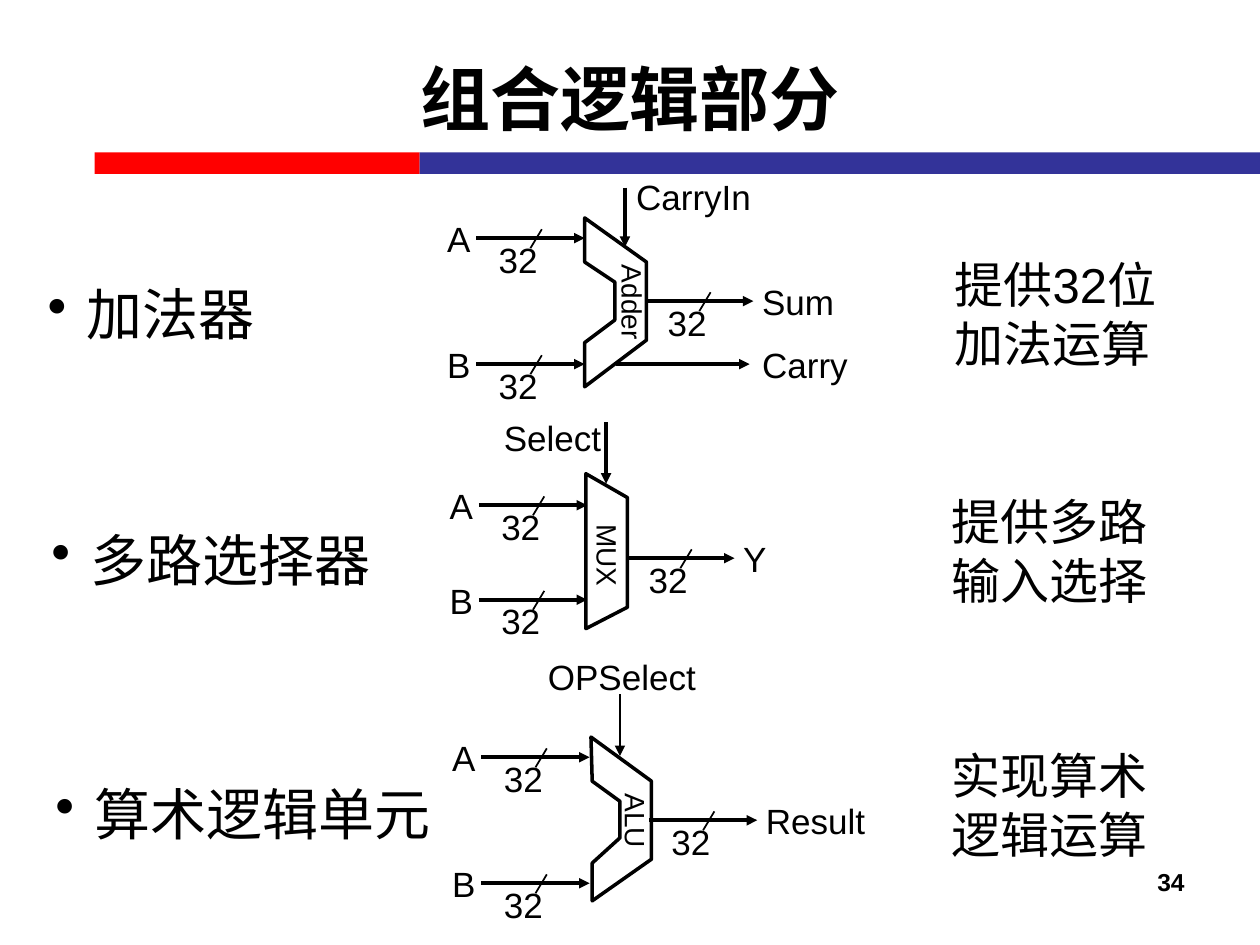
from dataclasses import dataclass

import pptx
import pptx.dml.color
import pptx.enum.shapes
import pptx.enum.text
import pptx.oxml.xmlchemy
import pptx.util

Inches = pptx.util.Inches
Pt = pptx.util.Pt
Align = pptx.enum.text.PP_ALIGN
OxmlElement = pptx.oxml.xmlchemy.OxmlElement
Point = tuple[float, float]
Box = tuple[float, float, float, float]


@dataclass(frozen=True)
class Theme:
    font: str = "Arial"
    ink: str = "000000"
    red: str = "FF0000"
    blue: str = "333399"
    title: int = 40
    item: int = 32
    description: int = 28
    signal: int = 20
    unit: int = 16
    page: int = 14
    thick: float = 2
    thin: float = 1


THEME = Theme()
BUS_LENGTH = 0.86
LABEL_HEIGHT = 0.43


@dataclass(frozen=True)
class Label:
    text: str
    box: Box


@dataclass(frozen=True)
class Bus:
    """A 32-bit wire; name_offset runs from its left end to its name box."""
    name: str
    start: Point
    name_offset: float
    name_width: float


@dataclass(frozen=True)
class Arrow:
    start: Point
    end: Point
    weight: float
    label: Label


@dataclass(frozen=True)
class Unit:
    item: Label
    description: Label
    inset: Point
    symbol: Label
    outline: list[Point]
    buses: list[Bus]
    arrows: list[Arrow]


def input_bus(name: str, x: float, y: float) -> Bus:
    return Bus(name, (x, y), -0.33, 0.39)


def output_bus(name: str, x: float, y: float, name_width: float) -> Bus:
    return Bus(name, (x, y), 0.83, name_width)


UNITS = [
    Unit(
        Label("加法器", (0.28, 2.17, 2.11, 0.64)),
        Label("提供32位加法运算", (7.48, 1.97, 2.13, 1.04)), (0.1, 0.05),
        Label("Adder", (4.62, 2.22, 0.8, 0.37)),
        [(4.64, 1.73), (5.13, 2.08), (5.13, 2.7), (4.64, 3.07),
         (4.64, 2.72), (4.88, 2.54), (4.88, 2.24), (4.64, 2.08)],
        [input_bus("A", 3.78, 1.89), input_bus("B", 3.78, 2.89),
         output_bus("Sum", 5.12, 2.39, 0.78)],
        [Arrow((4.96, 1.49), (4.96, 1.96), THEME.thick,
               Label("CarryIn", (4.95, 1.34, 1.12, LABEL_HEIGHT))),
         Arrow((4.89, 2.89), (5.95, 2.89), THEME.thick,
               Label("Carry", (5.95, 2.68, 0.89, LABEL_HEIGHT)))],
    ),
    Unit(
        Label("多路选择器", (0.31, 4.12, 2.9, 0.64)),
        Label("提供多路输入选择", (7.48, 3.87, 2.02, 1)), (0.07, 0.03),
        Label("MUX", (4.47, 4.23, 0.7, 0.37)),
        [(4.65, 3.76), (4.98, 3.95), (4.98, 4.82), (4.65, 4.99)],
        [input_bus("A", 3.8, 4.01), input_bus("B", 3.8, 4.76),
         output_bus("Y", 4.97, 4.43, 0.39)],
        [Arrow((4.81, 3.35), (4.81, 3.84), THEME.thick,
               Label("Select", (3.9, 3.26, 0.99, LABEL_HEIGHT)))],
    ),
    Unit(
        Label("算术逻辑单元", (0.34, 6.14, 3.29, 0.64)),
        Label("实现算术逻辑运算", (7.48, 5.89, 2.02, 1)), (0.07, 0.03),
        Label("ALU", (4.73, 6.33, 0.63, 0.37)),
        [(4.69, 5.85), (5.17, 6.2), (5.17, 6.82), (4.7, 7.15),
         (4.7, 6.85), (4.92, 6.65), (4.92, 6.36), (4.7, 6.2)],
        [input_bus("A", 3.82, 6.01), input_bus("B", 3.82, 7.01),
         output_bus("Result", 5.15, 6.51, 1)],
        [Arrow((4.92, 5.51), (4.92, 6), THEME.thin,
               Label("OPSelect", (4.25, 5.15, 1.43, LABEL_HEIGHT)))],
    ),
]


def color(value: str) -> pptx.dml.color.RGBColor:
    return pptx.dml.color.RGBColor.from_string(value)


def format_paragraph(paragraph, size: int, bold: bool = False) -> None:
    for run in paragraph.runs:
        run.font.name = THEME.font
        run.font.size = Pt(size)
        run.font.bold = bold
        run.font.color.rgb = color(THEME.ink)


def add_text(slide, label: Label, size: int, wrap: bool = False,
             inset: Point = (0.1, 0.05), bold: bool = False):
    shape = slide.shapes.add_textbox(*map(Inches, label.box))
    frame = shape.text_frame
    frame.text = label.text
    frame.word_wrap = wrap
    frame.margin_left = frame.margin_right = Inches(inset[0])
    frame.margin_top = frame.margin_bottom = Inches(inset[1])
    format_paragraph(frame.paragraphs[0], size, bold)
    return shape


def add_line(slide, start: Point, end: Point, weight: float, arrow: bool = False) -> None:
    line = slide.shapes.add_connector(
        pptx.enum.shapes.MSO_CONNECTOR.STRAIGHT, *map(Inches, (*start, *end)))
    line.line.color.rgb = color(THEME.ink)
    line.line.width = Pt(weight)
    properties = line._element.spPr
    if arrow:
        tail = OxmlElement("a:tailEnd")
        tail.set("type", "triangle")
        properties.get_or_add_ln().append(tail)
    properties.append(OxmlElement("a:effectLst"))


def add_bus(slide, bus: Bus) -> None:
    x, y = bus.start
    add_line(slide, bus.start, (x + BUS_LENGTH, y), THEME.thick, arrow=True)
    add_line(slide, (x + 0.52, y - 0.07), (x + 0.43, y + 0.08), THEME.thin)
    add_text(slide, Label("32", (x + 0.08, y - 0.05, 0.51, LABEL_HEIGHT)), THEME.signal)
    name_box = (x + bus.name_offset, y - 0.21, bus.name_width, LABEL_HEIGHT)
    add_text(slide, Label(bus.name, name_box), THEME.signal)


def add_outline(slide, points: list[Point]) -> None:
    corners = [(Inches(x), Inches(y)) for x, y in points]
    builder = slide.shapes.build_freeform(*corners[0])
    builder.add_line_segments(corners[1:], close=True)
    shape = builder.convert_to_shape()
    shape.shadow.inherit = False
    shape.fill.background()
    shape.line.color.rgb = color(THEME.ink)
    shape.line.width = Pt(THEME.thick)


def add_item(slide, label: Label) -> None:
    paragraph = add_text(slide, label, THEME.item, wrap=True).text_frame.paragraphs[0]
    properties = paragraph._p.get_or_add_pPr()
    properties.set("marL", str(Inches(0.31)))
    properties.set("indent", str(-Inches(0.31)))
    bullet = OxmlElement("a:buChar")
    bullet.set("char", "•")
    properties.append(bullet)


def add_unit(slide, unit: Unit) -> None:
    add_item(slide, unit.item)
    add_outline(slide, unit.outline)
    for bus in unit.buses:
        add_bus(slide, bus)
    for arrow in unit.arrows:
        add_line(slide, arrow.start, arrow.end, arrow.weight, arrow=True)
        add_text(slide, arrow.label, THEME.signal)
    add_text(slide, unit.symbol, THEME.unit).rotation = 90
    add_text(slide, unit.description, THEME.description, wrap=True, inset=unit.inset)


def add_bar(slide, box: Box, fill: str) -> None:
    bar = slide.shapes.add_shape(
        pptx.enum.shapes.MSO_SHAPE.RECTANGLE, *map(Inches, box))
    bar.shadow.inherit = False
    bar.fill.solid()
    bar.fill.fore_color.rgb = color(fill)
    bar.line.fill.background()


def set_title(slide, text: str) -> None:
    title = slide.shapes.title
    title.left, title.top, title.width, title.height = map(Inches, (0.5, 0.15, 9, 1.25))
    title.text_frame.text = text
    title.text_frame.vertical_anchor = pptx.enum.text.MSO_ANCHOR.MIDDLE
    paragraph = title.text_frame.paragraphs[0]
    paragraph.alignment = Align.CENTER
    format_paragraph(paragraph, THEME.title, bold=True)


def main() -> None:
    presentation = pptx.Presentation()
    presentation.slide_width, presentation.slide_height = Inches(10), Inches(7.5)
    slide = presentation.slides.add_slide(presentation.slide_layouts[5])
    add_bar(slide, (0.75, 1.21, 2.58, 0.17), THEME.red)
    add_bar(slide, (3.33, 1.21, 6.67, 0.17), THEME.blue)
    set_title(slide, "组合逻辑部分")
    for unit in UNITS:
        add_unit(slide, unit)
    page = add_text(slide, Label("34", (7.17, 6.83, 2.33, 0.52)), THEME.page,
                    wrap=True, bold=True)
    page.text_frame.paragraphs[0].alignment = Align.RIGHT
    presentation.save("out.pptx")


if __name__ == "__main__":
    main()
